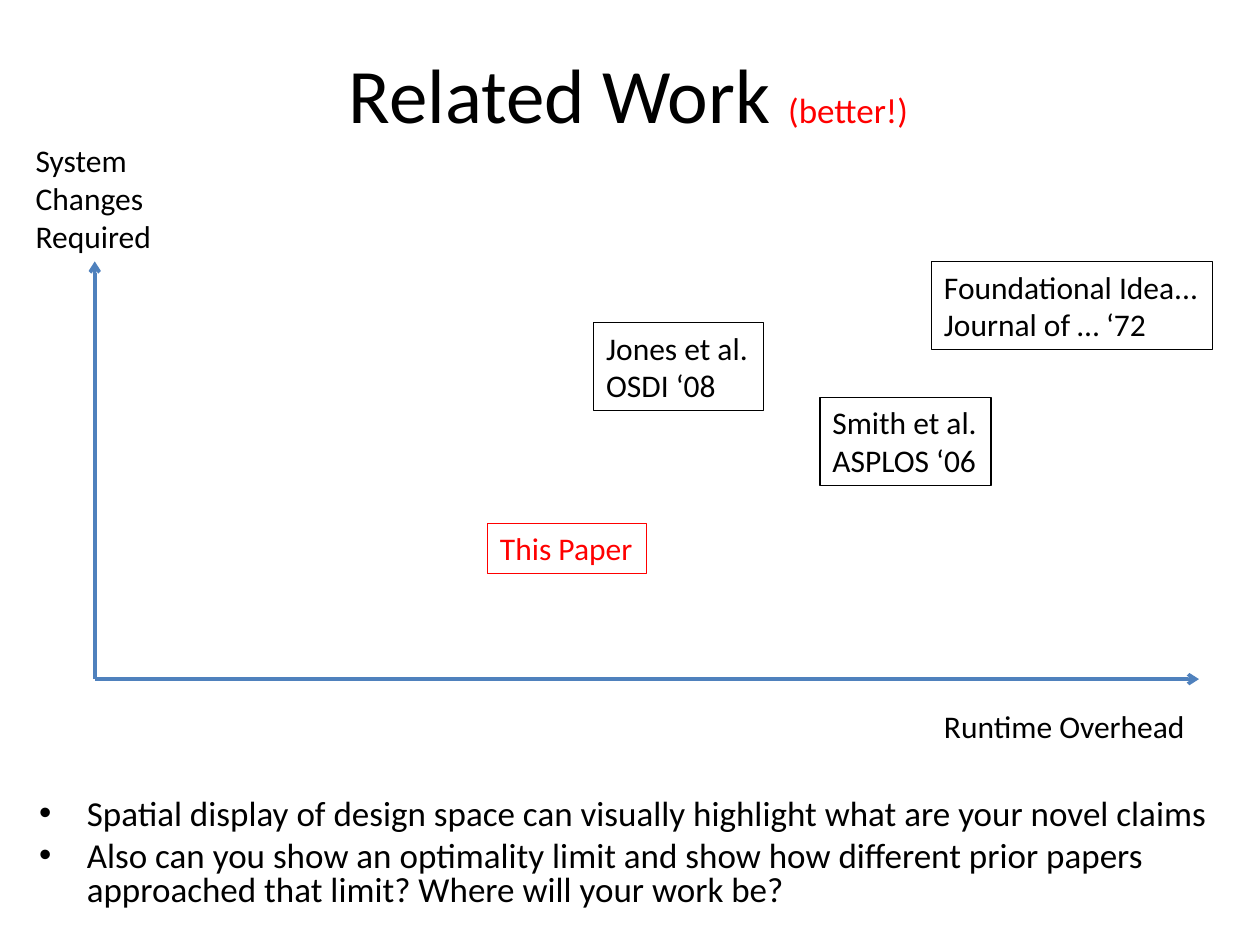
from lxml import etree
from pptx import Presentation
from pptx.dml.color import RGBColor
from pptx.enum import shapes, text
from pptx.oxml import ns
from pptx.util import Cm, Pt

COLORS = {"ink": "000000", "accent": "FF0000", "axis": "4F81BD"}
FONT = "Calibri"

# Text, colour and box (left, top, width, height in cm from the plot's corner)
AXIS_LABELS = [
    ("Runtime Overhead", (16.87, 8.86, 5.38, 1.02)),
    ("System\nChanges\nRequired", (-1.44, -2.55, 2.86, 2.54)),
]
PAPERS = [
    ("Smith et al.\nASPLOS ‘06", "ink", (14.62, 2.74, 3.45, 1.78)),
    ("Jones et al.\nOSDI ‘08", "ink", (10.06, 1.23, 3.42, 1.78)),
    ("This Paper", "accent", (7.92, 5.28, 3.2, 1.02)),
    ("Foundational Idea...\nJournal of … ‘72", "ink", (16.87, 0, 5.66, 1.78)),
]
CLAIMS = [
    "Spatial display of design space can visually highlight what are your novel claims",
    "Also can you show an optimality limit and show how different prior papers "
    "approached that limit? Where will your work be?",
]


def rgb(name):
    return RGBColor.from_string(COLORS[name])


def set_font(font, size, color):
    font.name = FONT
    font.size = Pt(size)
    font.color.rgb = rgb(color)


def add_title(slide, left, top, width, height):
    title = slide.shapes.title
    title.left, title.top, title.width, title.height = map(Cm, (left, top, width, height))
    title.text_frame.vertical_anchor = text.MSO_ANCHOR.MIDDLE
    paragraph = title.text_frame.paragraphs[0]
    paragraph.alignment = text.PP_ALIGN.CENTER
    for words, size, color in [("Related Work ", 44, "ink"), ("(better!)", 20, "accent")]:
        run = paragraph.add_run()
        run.text = words
        set_font(run.font, size, color)


def add_bullets(slide, left, top, width, height):
    frame = slide.shapes.add_textbox(*map(Cm, (left, top, width, height))).text_frame
    frame.word_wrap = True
    frame.text = "\n".join(CLAIMS)
    for index, paragraph in enumerate(frame.paragraphs):
        properties = paragraph._p.get_or_add_pPr()
        properties.set("marL", str(Cm(0.96)))
        properties.set("indent", str(Cm(-0.96)))
        etree.SubElement(properties, ns.qn("a:buFont"), typeface="Arial")
        etree.SubElement(properties, ns.qn("a:buChar"), char="•")
        paragraph.line_spacing = 0.8
        paragraph.space_before = Pt(5 if index else 0)
        set_font(paragraph.font, 20, "ink")


def add_label(slide, words, color, left, top, width, height):
    label = slide.shapes.add_textbox(*map(Cm, (left, top, width, height)))
    frame = label.text_frame
    frame.word_wrap = False
    frame.auto_size = text.MSO_AUTO_SIZE.SHAPE_TO_FIT_TEXT
    frame.text = words
    for paragraph in frame.paragraphs:
        set_font(paragraph.font, 18, color)
    return label


def add_axis(slide, start, end):
    axis = slide.shapes.add_connector(
        shapes.MSO_CONNECTOR.STRAIGHT, *map(Cm, (*start, *end)))
    axis.line.color.rgb = rgb("axis")
    axis.line.width = Pt(2)
    etree.SubElement(axis.line._get_or_add_ln(), ns.qn("a:tailEnd"), type="arrow")
    etree.SubElement(axis._element.spPr, ns.qn("a:effectLst"))


def add_design_space(slide, left, top, width, height):
    """Draw the two axes along the box's edges and place the papers between them."""
    origin = (left, top + height)
    add_axis(slide, origin, (left, top))
    add_axis(slide, origin, (left + width, top + height))
    for words, (x, y, *size) in AXIS_LABELS:
        add_label(slide, words, "ink", left + x, top + y, *size)
    for words, color, (x, y, *size) in PAPERS:
        paper = add_label(slide, words, color, left + x, top + y, *size)
        paper.line.color.rgb = rgb(color)
        paper.line.width = Pt(0.75)


def main():
    presentation = Presentation()
    presentation.slide_width, presentation.slide_height = Cm(25.4), Cm(19.05)
    slide = presentation.slides.add_slide(presentation.slide_layouts.get_by_name("Title Only"))
    add_title(slide, 0.54, 0.28, 24.26, 3.18)
    add_bullets(slide, 0.54, 15.99, 24.26, 2.6)
    add_design_space(slide, 1.91, 5.27, 22.26, 8.42)
    presentation.save("out.pptx")


if __name__ == "__main__":
    main()
